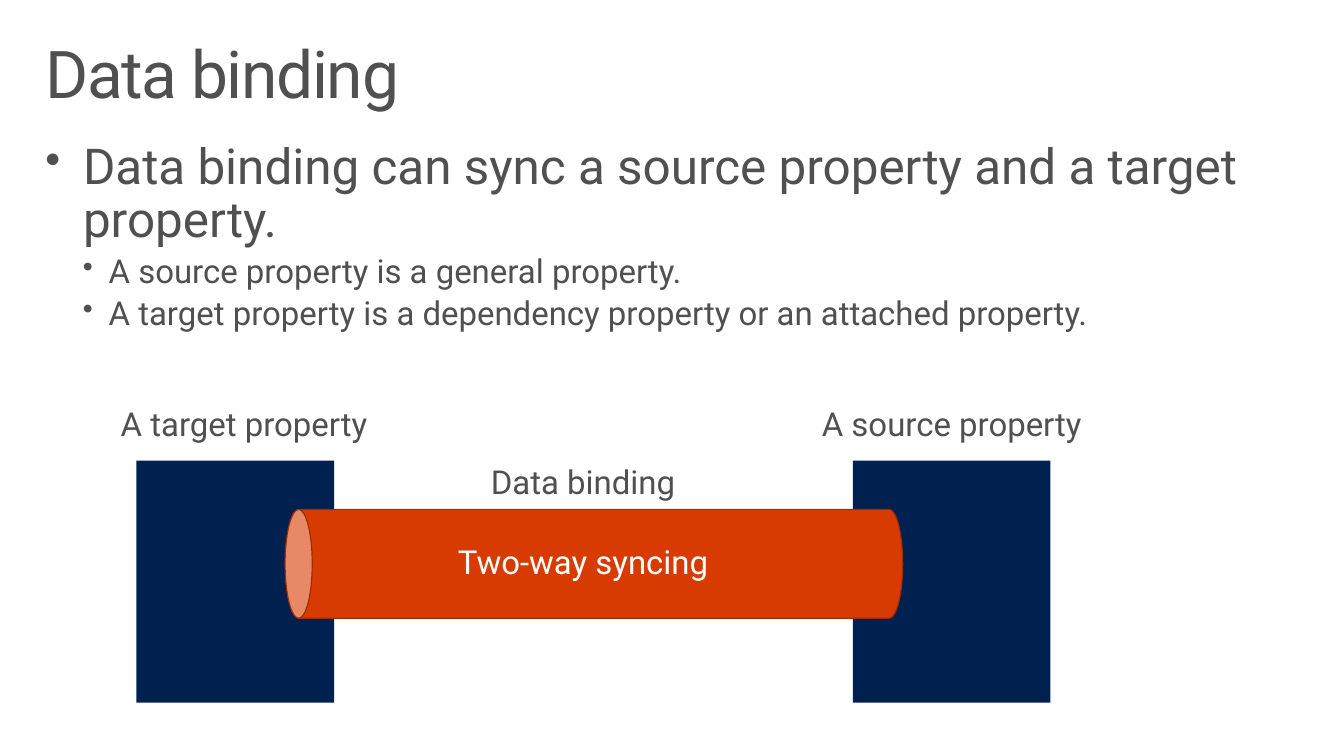
from lxml import etree
from pptx import Presentation
from pptx.dml.color import RGBColor
from pptx.enum.shapes import MSO_SHAPE
from pptx.enum.text import MSO_ANCHOR, PP_ALIGN
from pptx.oxml.ns import qn
from pptx.util import Pt

RECTANGLE, CAN = MSO_SHAPE.RECTANGLE, MSO_SHAPE.CAN
TOP, LEFT, CENTER = MSO_ANCHOR.TOP, PP_ALIGN.LEFT, PP_ALIGN.CENTER
TITLE_ONLY = 5
FONT = "Roboto"
GRAY, WHITE, NAVY, ORANGE, RUST = "505050", "FFFFFF", "002050", "D83B01", "A02C01"

STATEMENTS = [
    (0, "Data binding can sync a source property and a target property."),
    (1, "A source property is a general property."),
    (1, "A target property is a dependency property or an attached property."),
]
LEVELS = [(36, 27.4, 27.4), (24, 46.1, 18.7)]
LABELS = [
    ("A target property", 26.6, 285.8, GRAY),
    ("A source property", 542.2, 285.8, GRAY),
    ("Data binding", 273.6, 328.3, GRAY),
    ("Two-way syncing", 273.6, 386.6, WHITE),
]


def color(hex_code):
    """Turn a hex string into a colour."""
    return RGBColor.from_string(hex_code)


def set_frame(frame, inset_x, inset_y):
    """Wrap a text frame, anchor it at the top and set its insets."""
    frame.word_wrap = True
    frame.vertical_anchor = TOP
    frame.margin_left = frame.margin_right = Pt(inset_x)
    frame.margin_top = frame.margin_bottom = Pt(inset_y)


def style(paragraph, size, hex_code, align=LEFT):
    """Set the font, alignment and line spacing of a paragraph."""
    paragraph.alignment = align
    paragraph.line_spacing = 0.9
    paragraph.font.name = FONT
    paragraph.font.size = Pt(size)
    paragraph.font.color.rgb = color(hex_code)


def add_bullet(paragraph, margin, hanging):
    """Give a paragraph a bullet with a hanging indent."""
    properties = paragraph._p.get_or_add_pPr()
    properties.set("marL", str(Pt(margin)))
    properties.set("indent", str(-Pt(hanging)))
    etree.SubElement(properties, qn("a:buSzPct")).set("val", "90000")
    etree.SubElement(properties, qn("a:buChar")).set("char", "•")


def set_title(slide, text):
    """Place and fill the title placeholder."""
    title = slide.shapes.title
    title.left, title.top, title.width, title.height = Pt(21.6), Pt(23), Pt(936), Pt(72)
    set_frame(title.text_frame, 11.5, 7.2)
    paragraph = title.text_frame.paragraphs[0]
    run = paragraph.add_run()
    run.text = text
    run._r.get_or_add_rPr().set("spc", "-100")
    style(paragraph, 48, GRAY)


def add_statements(slide):
    """Add the two-level bulleted text."""
    frame = slide.shapes.add_textbox(Pt(21.6), Pt(95.8), Pt(936), Pt(157)).text_frame
    set_frame(frame, 11.5, 7.2)
    for index, (level, text) in enumerate(STATEMENTS):
        paragraph = frame.add_paragraph() if index else frame.paragraphs[0]
        size, margin, hanging = LEVELS[level]
        paragraph.text = text
        paragraph.level = level
        add_bullet(paragraph, margin, hanging)
        style(paragraph, size, GRAY)
        paragraph.space_before = Pt(4.8 if index else 0)


def add_block(slide, preset, left, top, width, height, fill):
    """Add a filled shape without outline or shadow."""
    block = slide.shapes.add_shape(preset, Pt(left), Pt(top), Pt(width), Pt(height))
    block.shadow.inherit = False
    block.fill.solid()
    block.fill.fore_color.rgb = color(fill)
    block.line.fill.background()
    return block


def add_label(slide, text, left, top, hex_code):
    """Add a centred label of the diagram."""
    frame = slide.shapes.add_textbox(Pt(left), Pt(top), Pt(302.4), Pt(49.7)).text_frame
    set_frame(frame, 14.4, 11.5)
    paragraph = frame.paragraphs[0]
    paragraph.text = text
    style(paragraph, 24, hex_code, CENTER)


def main():
    """Build the slide and save it."""
    deck = Presentation()
    deck.slide_width, deck.slide_height = Pt(979.2), Pt(550.8)
    slide = deck.slides.add_slide(deck.slide_layouts[TITLE_ONLY])
    set_title(slide, "Data binding")
    add_statements(slide)
    for property_left in (99.4, 621.4):
        add_block(slide, RECTANGLE, property_left, 335.5, 144, 176.4, NAVY)
    pipe = add_block(slide, CAN, 393.1, 185.8, 79.2, 450, ORANGE)
    pipe.rotation = 270
    pipe.line.color.rgb = color(RUST)
    pipe.line.width = Pt(0.85)
    for label in LABELS:
        add_label(slide, *label)
    deck.save("out.pptx")


if __name__ == "__main__":
    main()
